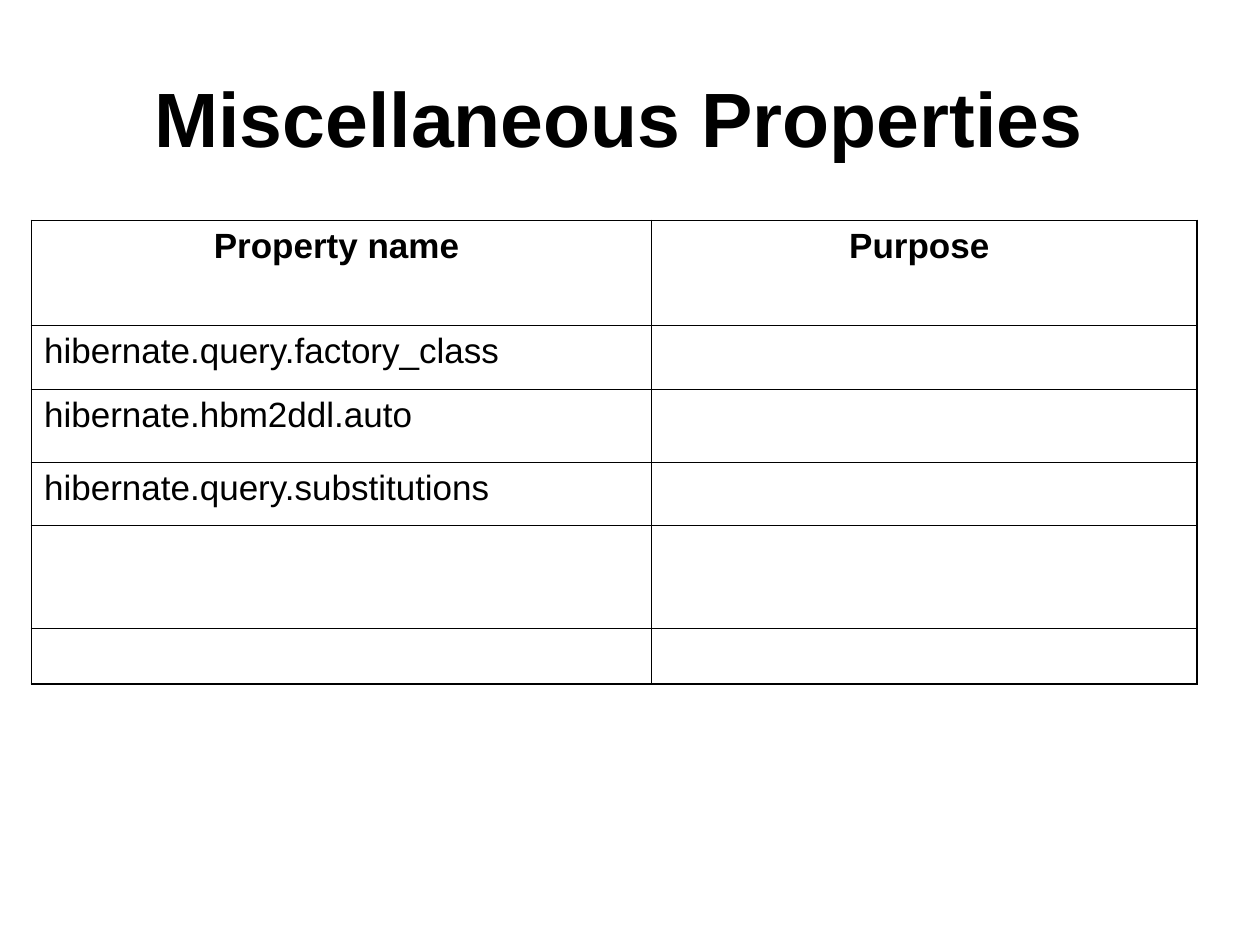
from lxml import etree
from pptx import Presentation
from pptx.dml.color import RGBColor
from pptx.enum.text import MSO_ANCHOR, PP_ALIGN
from pptx.oxml.ns import qn
from pptx.util import Inches, Pt

CENTER, LEFT = PP_ALIGN.CENTER, PP_ALIGN.LEFT
MIDDLE = MSO_ANCHOR.MIDDLE
TITLE_ONLY = 5
COLORS = {"ink": "000000", "paper": "FFFFFF"}
THIN, THICK = 0.45, 1.08

COL_WIDTHS = [4.92, 4.33]
ROW_HEIGHTS = [0.83, 0.51, 0.58, 0.5, 0.82, 0.44]
HEADER = ["Property name ", "Purpose "]
PROPERTIES = [
    "hibernate.query.factory_class",
    "hibernate.hbm2ddl.auto",
    "hibernate.query.substitutions",
]


class SlideBuilder:
    """Holds the style and the current slide; positions are shares of its size."""

    font = "Arial"
    title_size, cell_size = 44, 20

    def __init__(self, prs):
        self.prs = prs
        self.slide = prs.slides.add_slide(prs.slide_layouts[TITLE_ONLY])
        fill = self.slide.background.fill
        fill.solid()
        fill.fore_color.rgb = RGBColor.from_string(COLORS["paper"])

    def box(self, x, y, w, h):
        width, height = self.prs.slide_width, self.prs.slide_height
        return int(x * width), int(y * height), int(w * width), int(h * height)

    def set_text(self, tf, text, size, bold, align):
        tf.text = text
        p = tf.paragraphs[0]
        p.alignment = align
        for r in p.runs:
            r.font.name, r.font.size, r.font.bold = self.font, Pt(size), bold
            r.font.color.rgb = RGBColor.from_string(COLORS["ink"])
        return p

    def title(self, text, x, y, w, h):
        sp = self.slide.shapes.title
        sp.left, sp.top, sp.width, sp.height = self.box(x, y, w, h)
        sp.text_frame.vertical_anchor = MIDDLE
        self.set_text(sp.text_frame, text, self.title_size, True, CENTER)

    def borders(self, cell, widths):
        tc_pr = cell._tc.get_or_add_tcPr()
        for side, width in widths.items():
            ln = etree.SubElement(tc_pr, qn(f"a:ln{side}"), w=str(int(Pt(width))))
            fill = etree.SubElement(ln, qn("a:solidFill"))
            etree.SubElement(fill, qn("a:srgbClr"), val=COLORS["ink"])

    def table(self, rows, x, y, col_widths, row_heights):
        n_rows, n_cols = len(row_heights), len(col_widths)
        left, top, _, _ = self.box(x, y, 0, 0)
        table = self.slide.shapes.add_table(
            n_rows, n_cols, left, top,
            Inches(sum(col_widths)), Inches(sum(row_heights))).table
        table.first_row = table.horz_banding = False
        for col, width in zip(table.columns, col_widths):
            col.width = Inches(width)
        for row, height in zip(table.rows, row_heights):
            row.height = Inches(height)

        for i, row in enumerate(rows):
            for j, text in enumerate(row):
                cell = table.cell(i, j)
                # Thick outer frame, thin inner rules
                edges = {"L": j == 0, "R": j == n_cols - 1,
                         "T": i == 0, "B": i == n_rows - 1}
                self.borders(cell, {side: THICK if outer else THIN
                                    for side, outer in edges.items()})
                cell.fill.background()
                if text:
                    header = i == 0
                    p = self.set_text(cell.text_frame, text, self.cell_size,
                                      header, CENTER if header else LEFT)
                    p.space_before = Pt(5)


def main():
    prs = Presentation()
    prs.slide_width, prs.slide_height = Inches(10), Inches(7.5)
    s = SlideBuilder(prs)

    # Title
    s.title("Miscellaneous Properties ", 0.05, 0.04, 0.9, 1 / 6)

    # Property table, with the remaining rows left empty
    rows = [HEADER] + [[name, ""] for name in PROPERTIES]
    rows += [["", ""]] * (len(ROW_HEIGHTS) - len(rows))
    s.table(rows, 0.025, 1.75 / 7.5, COL_WIDTHS, ROW_HEIGHTS)

    prs.save("out.pptx")


if __name__ == "__main__":
    main()
